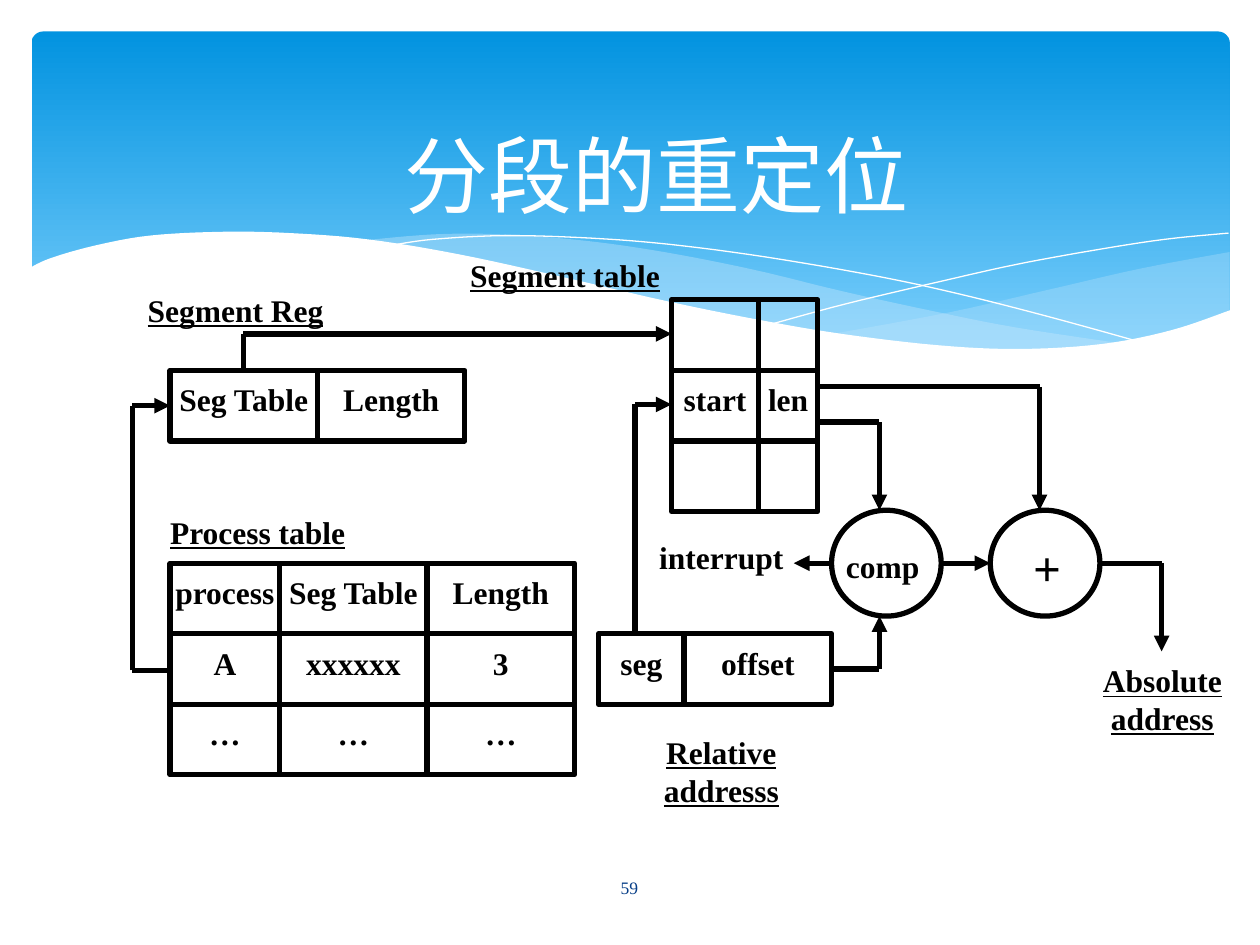
from lxml import etree
from pptx import Presentation
from pptx.dml import color
from pptx.enum import shapes, text
from pptx.oxml import ns
from pptx.util import Inches, Pt

FONT = "Times New Roman"
HUE = {name: color.RGBColor.from_string(code) for name, code in {
    "ink": "000000", "white": "FFFFFF", "mist": "C6E7FC",
    "deep": "0293E0", "pale": "83D3FE", "navy": "073E87"}.items()}
KIND = shapes.MSO_SHAPE
MID = text.PP_ALIGN.CENTER

deck = Presentation()
deck.slide_width, deck.slide_height = Inches(10), Inches(7.5)
slide = deck.slides.add_slide(deck.slide_layouts[5])
draw = slide.shapes


def smooth(knots, steps=6):
    ends = [knots[0]] + knots + [knots[-1]]
    spots = [knots[0]]
    for a, b, c, d in zip(ends, ends[1:], ends[2:], ends[3:]):
        for n in range(1, steps + 1):
            t = n / steps
            spots.append(tuple(
                q + t * (r - p) / 2 + t * t * (2 * p - 5 * q + 4 * r - s) / 2
                + t ** 3 * (3 * q - p - 3 * r + s) / 2
                for p, q, r, s in zip(a, b, c, d)))
    return spots


def write(frame, words, size, tint, bold=False, under=False, align=MID):
    frame.word_wrap = True
    for n, word in enumerate(words.split("\n")):
        para = frame.add_paragraph() if n else frame.paragraphs[0]
        para.alignment = align
        run = para.add_run()
        run.text = word
        font = run.font
        font.name, font.size, font.bold, font.underline = FONT, Pt(size), bold, under
        font.color.rgb = HUE[tint]


sky = draw.add_shape(KIND.ROUNDED_RECTANGLE, *map(Inches, (0.25, 0.25, 9.51, 2.7)))
sky.adjustments[0] = 0.034
sky.shadow.inherit = False
sky.line.fill.background()
sky.fill.gradient()
sky.fill.gradient_angle = 270
for stop, tint, spot in zip(sky.fill.gradient_stops, ("deep", "pale"), (0, 1)):
    stop.color.rgb = HUE[tint]
    stop.position = spot

waves = [
    ("mist", 29,
     smooth([(9.76, 2), (9.06, 2.13), (8.32, 2.3), (7.53, 2.48), (6.61, 2.65)])
     + smooth([(6.61, 2.65), (7.05, 2.71), (7.57, 2.76), (8.03, 2.78),
               (8.54, 2.76), (8.97, 2.7), (9.35, 2.62), (9.76, 2.47)])),
    ("mist", 40,
     smooth([(8.93, 2.73), (8.07, 2.6), (7.41, 2.47), (6.68, 2.31), (5.98, 2.14),
             (5.27, 2), (4.64, 1.91), (3.99, 1.86), (3.44, 1.86), (2.86, 1.91)])
     + smooth([(2.86, 1.91), (3.42, 1.99), (4.04, 2.11), (4.91, 2.32),
               (5.66, 2.48), (6.34, 2.61), (6.95, 2.7), (7.48, 2.76),
               (8.07, 2.79), (8.48, 2.78), (8.93, 2.73)])),
    (None, 0,
     smooth([(3.09, 1.95), (3.43, 1.9), (4.01, 1.87), (4.69, 1.89), (5.32, 1.94),
             (6.08, 2.04), (6.95, 2.19), (7.6, 2.33), (8.31, 2.51), (9.07, 2.72)])),
    (None, 0,
     smooth([(6.13, 2.57), (6.72, 2.41), (7.48, 2.23), (8.06, 2.1),
             (8.66, 1.99), (9.24, 1.9), (9.75, 1.85)])),
    ("white", 100,
     smooth([(9.77, 2.46), (9.3, 2.62), (8.75, 2.73), (8.09, 2.77), (7.44, 2.74),
             (6.68, 2.65), (6.03, 2.54), (5.29, 2.39), (4.47, 2.2), (3.65, 2.02),
             (2.92, 1.9), (2.3, 1.85), (1.76, 1.84), (1.19, 1.87), (0.75, 1.95),
             (0.4, 2.05), (0.23, 2.13)]) + [(0.23, 3.29), (9.77, 3.29)]),
]
for tint, share, spots in waves:
    pts = [(Inches(x), Inches(y)) for x, y in spots]
    pen = draw.build_freeform(*pts[0])
    pen.add_line_segments(pts[1:], close=bool(tint))
    wave = pen.convert_to_shape()
    wave.shadow.inherit = False
    if tint:
        wave.line.fill.background()
        wave.fill.solid()
        wave.fill.fore_color.rgb = HUE[tint]
        if share < 100:
            tone = next(wave.element.spPr.iter(ns.qn("a:srgbClr")))
            etree.SubElement(tone, ns.qn("a:alpha"), val=str(share * 1000))
    else:
        wave.fill.background()
        wave.line.color.rgb = HUE["white"]
        wave.line.width = 0

title = draw.title
draw.element.append(title.element)
title.left, title.top, title.width, title.height = map(Inches, (0.92, 0.93, 8.58, 0.9))
title.text_frame.vertical_anchor = text.MSO_ANCHOR.MIDDLE
write(title.text_frame, "分段的重定位", 48, "white")

ROW, COL = 0.56, 1.17
tables = [
    (1.35, 2.94, [COL, COL], [["Seg Table", "Length"]]),
    (1.35, 4.47, [0.87, COL, COL], [["process", "Seg Table", "Length"],
                                    ["A", "xxxxxx", "3"], ["…", "…", "…"]]),
    (5.33, 2.38, [0.69, 0.47], [["", ""], ["start", "len"], ["", ""]]),
    (4.75, 5.03, [0.68, COL], [["seg", "offset"]]),
]
boxes = [(KIND.RECTANGLE, left + sum(cols[:c]), top + r * ROW, cols[c], ROW, word)
         for left, top, cols, rows in tables
         for r, row in enumerate(rows) for c, word in enumerate(row)]
boxes += [(KIND.OVAL, left, 4.05, 0.87, 0.84, "") for left in (6.6, 7.86)]
for kind, left, top, wide, high, word in boxes:
    box = draw.add_shape(kind, *map(Inches, (left, top, wide, high)))
    box.shadow.inherit = False
    box.fill.background()
    box.line.color.rgb = HUE["ink"]
    box.line.width = Pt(3)
    if word:
        frame = box.text_frame
        frame.margin_left = frame.margin_right = frame.margin_bottom = 0
        frame.margin_top = Inches(0.08)
        frame.vertical_anchor = text.MSO_ANCHOR.TOP
        write(frame, word, 18, "ink", True)

routes = [
    (True, [(1.93, 2.94), (1.93, 2.65), (5.33, 2.65)]),
    (True, [(1.35, 5.32), (1.05, 5.32), (1.05, 3.22), (1.35, 3.22)]),
    (True, [(5.04, 5.03), (5.04, 3.21), (5.33, 3.21)]),
    (True, [(6.5, 3.35), (6.98, 3.35), (6.98, 4.05)]),
    (True, [(6.5, 3.07), (8.25, 3.07), (8.25, 4.05)]),
    (True, [(6.6, 5.31), (6.98, 5.31), (6.98, 4.89)]),
    (True, [(6.6, 4.47), (6.3, 4.47)]),
    (True, [(7.47, 4.47), (7.86, 4.47)]),
    (True, [(8.73, 4.47), (9.22, 4.47), (9.22, 5.17)]),
]
for tip, spots in routes:
    for start, end in zip(spots, spots[1:]):
        arm = draw.add_connector(shapes.MSO_CONNECTOR.STRAIGHT, *map(Inches, start + end))
        arm.line.color.rgb = HUE["ink"]
        arm.line.width = Pt(3)
        form = arm.element.spPr
        if tip and end == spots[-1]:
            etree.SubElement(form.find(ns.qn("a:ln")), ns.qn("a:tailEnd"), type="triangle")
        etree.SubElement(form, ns.qn("a:effectLst"))

labels = [
    (3.66, 1.95, 1.65, ROW, "Segment table", 18, True, MID),
    (0.9, 2.23, 1.94, 0.26, "Segment Reg", 18, True, MID),
    (1.35, 3.99, 1.61, 0.35, "Process table", 18, True, text.PP_ALIGN.LEFT),
    (8.64, 5.17, COL, ROW, "Absolute\naddress", 18, True, MID),
    (5.14, 5.74, COL, ROW, "Relative\naddresss", 18, True, MID),
    (5.14, 4.19, COL, ROW, "interrupt", 18, False, MID),
    (6.65, 4.26, 0.71, ROW, "comp", 18, False, MID),
    (8.05, 4.19, 0.52, ROW, "+", 28, False, MID),
]
for left, top, wide, high, word, size, under, align in labels:
    note = draw.add_textbox(*map(Inches, (left, top, wide, high)))
    frame = note.text_frame
    frame.margin_left = frame.margin_right = frame.margin_bottom = 0
    frame.margin_top = Inches(0.08)
    write(frame, word, size, "ink", True, under, align)

page = draw.add_textbox(*map(Inches, (4.36, 6.84, 1.27, 0.4)))
page.text_frame.vertical_anchor = text.MSO_ANCHOR.MIDDLE
write(page.text_frame, "59", 10, "navy")

deck.save("out.pptx")
